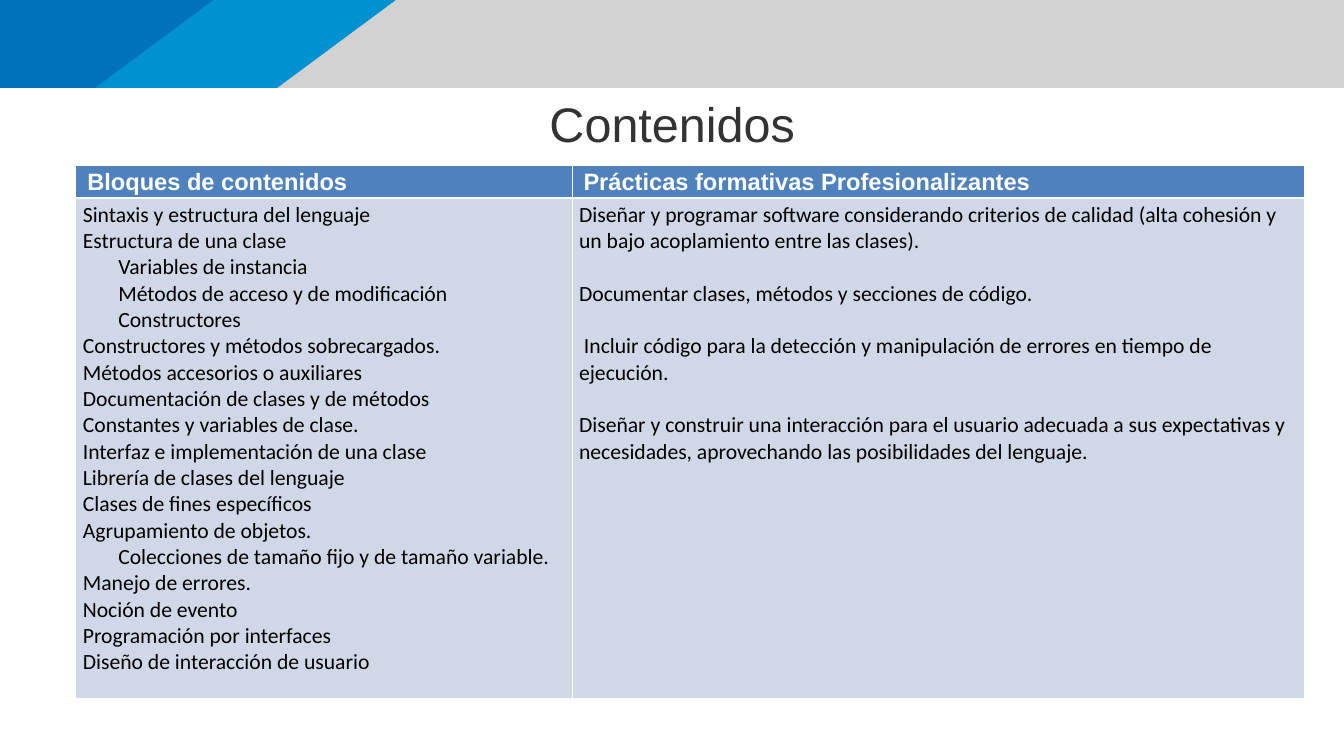
from lxml import etree
from pptx import Presentation
from pptx.dml.color import RGBColor
from pptx.enum.shapes import MSO_SHAPE
from pptx.enum.text import PP_ALIGN
from pptx.oxml.ns import qn
from pptx.util import Pt

RECT = MSO_SHAPE.RECTANGLE
CENTER = PP_ALIGN.CENTER

WHITE = RGBColor(0xFF, 0xFF, 0xFF)
BLACK = RGBColor(0, 0, 0)
DARK = RGBColor(0x33, 0x33, 0x33)
GREY = RGBColor(0xD2, 0xD2, 0xD3)
SKY = RGBColor(0x00, 0x91, 0xD1)
BLUE = RGBColor(0x00, 0x71, 0xBB)
HEAD = RGBColor(0x4F, 0x81, 0xBD)
PALE = RGBColor(0xD0, 0xD8, 0xE8)

TITLE = "Contenidos"
HEADS = ["Bloques de contenidos", "Prácticas formativas Profesionalizantes"]
# (level, text)
BLOCKS = [
    (0, "Sintaxis y estructura del lenguaje"),
    (0, "Estructura de una clase"),
    (1, "Variables de instancia"),
    (1, "Métodos de acceso y de modificación"),
    (1, "Constructores"),
    (0, "Constructores y métodos sobrecargados."),
    (0, "Métodos accesorios o auxiliares"),
    (0, "Documentación de clases y de métodos"),
    (0, "Constantes y variables de clase."),
    (0, "Interfaz e implementación de una clase"),
    (0, "Librería de clases del lenguaje"),
    (0, "Clases de fines específicos"),
    (0, "Agrupamiento de objetos."),
    (1, "Colecciones de tamaño fijo y de tamaño variable."),
    (0, "Manejo de errores."),
    (0, "Noción de evento"),
    (0, "Programación por interfaces"),
    (0, "Diseño de interacción de usuario"),
]
TASKS = [
    (0, "Diseñar y programar software considerando criterios de calidad "
        "(alta cohesión y un bajo acoplamiento entre las clases)."),
    (0, "Documentar clases, métodos y secciones de código."),
    (0, " Incluir código para la detección y manipulación de errores en "
        "tiempo de ejecución."),
    (0, "Diseñar y construir una interacción para el usuario adecuada a sus "
        "expectativas y necesidades, aprovechando las posibilidades del lenguaje."),
]

WIDE, HIGH = 1365.1, 768.2
BAND = 89.3
# (top right x, bottom right x, top, colour)
SLANTS = [(401.8, 280.8, 0, SKY), (401, 281.5, 0.7, SKY), (216.7, 96.5, 0, BLUE)]
COLS = [504, 743.8]
ROWS = [31, 509]
LINE = 26.8
INDENT = 36

TITLE_FONT = {"name": "Arial", "size": Pt(49.3), "bold": False}
HEAD_FONT = {"name": "Arial", "size": Pt(24), "bold": True}
BODY_FONT = {"name": "Calibri", "size": Pt(22), "bold": False}


def style(para, form, color):
    for key, value in form.items():
        setattr(para.font, key, value)
    para.font.color.rgb = color


def paint(shape, color):
    shape.shadow.inherit = False
    shape.fill.solid()
    shape.fill.fore_color.rgb = color
    shape.line.fill.background()


def fill_cell(cell, color, low):
    """Fill a cell and give it white borders; low is the bottom width."""
    cell.fill.solid()
    cell.fill.fore_color.rgb = color
    props = cell._tc.get_or_add_tcPr()
    for spot, (side, width) in enumerate(zip("LRTB", (1, 1, 1, low))):
        line = etree.Element(qn(f"a:ln{side}"), w=str(Pt(width)))
        solid = etree.SubElement(line, qn("a:solidFill"))
        etree.SubElement(solid, qn("a:srgbClr"), val=str(WHITE))
        props.insert(spot, line)


def write_body(cell, items, gap):
    frame = cell.text_frame
    for n, (level, text) in enumerate(items):
        para = frame.add_paragraph() if n else frame.paragraphs[0]
        para.text = text
        if level:
            para.level = level
            para._p.get_or_add_pPr().set("marL", str(Pt(INDENT)))
        if n and gap:
            para.space_before = Pt(gap)
        style(para, BODY_FONT, BLACK)


def add_band(shapes):
    paint(shapes.add_shape(RECT, 0, 0, Pt(WIDE), Pt(BAND)), GREY)
    for high, low, top, color in SLANTS:
        edge = shapes.build_freeform(Pt(high), Pt(top))
        edge.add_line_segments(
            [(0, Pt(top)), (0, Pt(BAND)), (Pt(low), Pt(BAND))], close=True)
        paint(edge.convert_to_shape(), color)


def add_title(shapes):
    box = shapes.add_textbox(Pt(437), Pt(90), Pt(491.8), Pt(62))
    frame = box.text_frame
    frame.word_wrap = True
    frame.margin_left = frame.margin_right = frame.margin_bottom = 0
    frame.margin_top = Pt(5.5)
    para = frame.paragraphs[0]
    para.text = TITLE
    para.alignment = CENTER
    style(para, TITLE_FONT, DARK)


def add_grid(shapes):
    grid = shapes.add_table(2, 2, Pt(77), Pt(168), Pt(sum(COLS)), Pt(sum(ROWS))).table
    for row, size in zip(grid.rows, ROWS):
        row.height = Pt(size)
    for n, (head, items, gap) in enumerate(zip(HEADS, (BLOCKS, TASKS), (0, LINE))):
        grid.columns[n].width = Pt(COLS[n])
        cell = grid.cell(0, n)
        cell.margin_left, cell.margin_right = Pt(11.7), Pt(5)
        cell.margin_top = cell.margin_bottom = 0
        para = cell.text_frame.paragraphs[0]
        para.text = head
        para.line_spacing = 1.15
        style(para, HEAD_FONT, WHITE)
        fill_cell(cell, HEAD, 3)
        body = grid.cell(1, n)
        write_body(body, items, gap)
        fill_cell(body, PALE, 1)


def main():
    deck = Presentation()
    deck.slide_width, deck.slide_height = Pt(WIDE), Pt(HIGH)
    shapes = deck.slides.add_slide(deck.slide_layouts[6]).shapes
    add_band(shapes)
    add_title(shapes)
    add_grid(shapes)
    deck.save("out.pptx")


if __name__ == "__main__":
    main()
